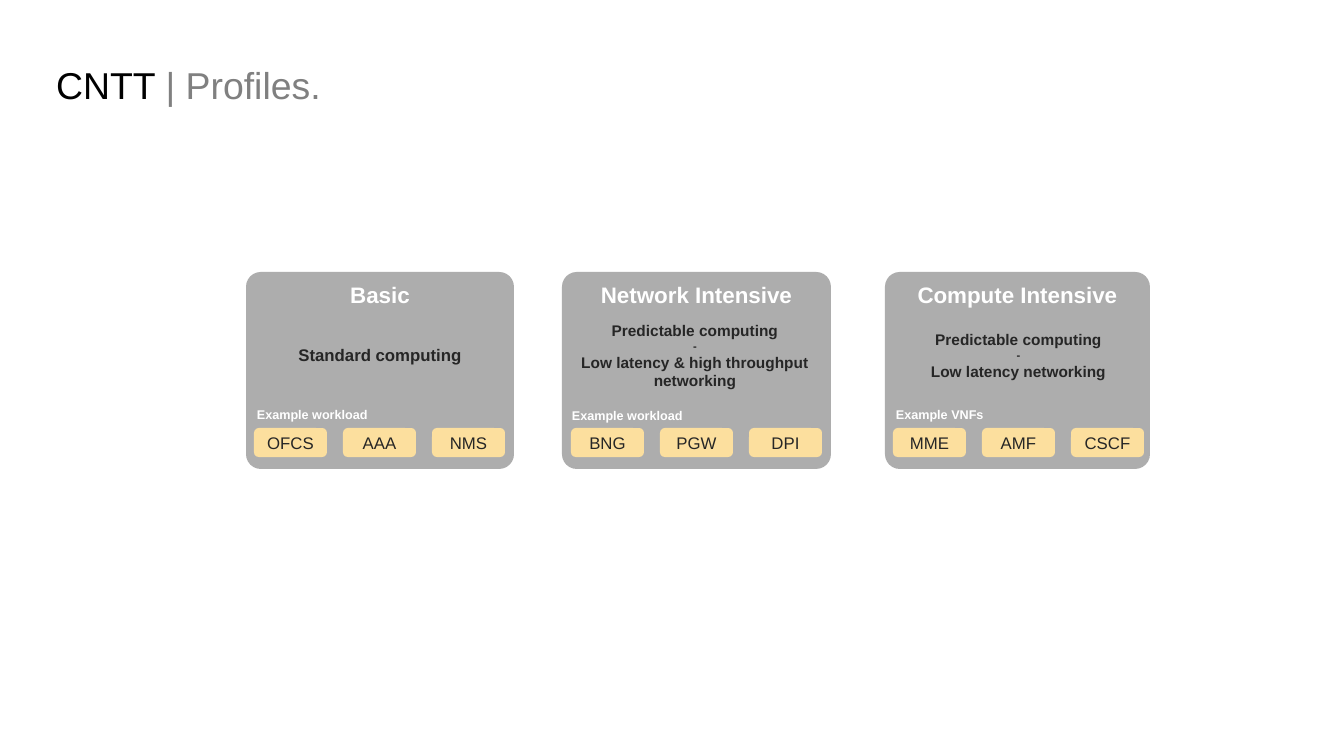
from lxml import etree
from pptx import Presentation
from pptx.dml.color import RGBColor
from pptx.enum.shapes import MSO_SHAPE
from pptx.enum.text import MSO_ANCHOR, PP_ALIGN
from pptx.oxml.ns import qn
from pptx.util import Pt

SCALE = 914400 / 100.8
ROUND = MSO_SHAPE.ROUNDED_RECTANGLE
TOP, MIDDLE = MSO_ANCHOR.TOP, MSO_ANCHOR.MIDDLE
LEFT, CENTER = PP_ALIGN.LEFT, PP_ALIGN.CENTER
COLORS = {"card": "5C5C5C", "chip": "FCDF9E", "white": "FFFFFF",
          "dark": "262626", "black": "000000", "gray": "808080"}
CARD_TOP, CARD_HIGH = 272, 197
CHIP_TOP, CHIP_WIDE, CHIP_HIGH, CHIP_STEP = 428, 73, 29, 89

PREDICT = ("Predictable computing", 11)
DASH = ("-", 8)
PROFILES = [
    {"name": "Basic", "left": 246, "wide": 268, "inset": 8,
     "body": [("Standard computing", 12)], "area": (246, 340, 268, 30),
     "label": "Example workload", "label_at": (247, 402, 132, 25),
     "chips": ["OFCS", "AAA", "NMS"]},
    {"name": "Network Intensive", "left": 562, "wide": 269, "inset": 9,
     "body": [PREDICT, DASH, ("Low latency & high throughput networking", 11)],
     "area": (554, 316, 282, 80),
     "label": "Example workload", "label_at": (562, 403, 132, 25),
     "chips": ["BNG", "PGW", "DPI"]},
    {"name": "Compute Intensive", "left": 885, "wide": 265, "inset": 8,
     "body": [PREDICT, DASH, ("Low latency networking", 11)],
     "area": (886, 325, 265, 61),
     "label": "Example VNFs", "label_at": (886, 402, 113, 25),
     "chips": ["MME", "AMF", "CSCF"]},
]


def px(count):
    """Turn pixels into EMU."""
    return round(count * SCALE)


def style(font, size, color, bold=False):
    """Set the face, size, colour and weight of a font."""
    font.name, font.size, font.bold = "Arial", Pt(size), bold
    font.color.rgb = RGBColor.from_string(COLORS[color])


def write(shape, lines, color, bold, align, anchor=TOP):
    """Write lines of text, each with its own size, into a shape."""
    frame = shape.text_frame
    frame.word_wrap, frame.vertical_anchor = True, anchor
    frame.text = "\n".join(text for text, size in lines)
    for para, (text, size) in zip(frame.paragraphs, lines):
        para.alignment = align
        style(para.font, size, color, bold)


def add_panel(slide, area, fill):
    """Add a rounded panel with a plain fill and no line."""
    panel = slide.shapes.add_shape(ROUND, *map(px, area))
    panel.shadow.inherit = False
    panel.fill.solid()
    panel.fill.fore_color.rgb = RGBColor.from_string(COLORS[fill])
    panel.line.fill.background()
    return panel


def add_card(slide, area, name):
    """Add a half clear card with its name at the top."""
    card = add_panel(slide, area, "card")
    card.adjustments[0] = 0.075
    tint = card.fill._xPr.find(qn("a:solidFill"))[0]
    etree.SubElement(tint, qn("a:alpha"), val="50000")
    write(card, [(name, 16)], "white", True, CENTER)


def add_chip(slide, area, name):
    """Add a small workload chip."""
    chip = add_panel(slide, area, "chip")
    write(chip, [(name, 12)], "dark", False, CENTER, MIDDLE)


def add_text(slide, area, lines, color, align):
    """Add a bold text box."""
    box = slide.shapes.add_textbox(*map(px, area))
    write(box, lines, color, True, align)
    return box


def add_title(slide):
    """Add the two-tone slide title."""
    frame = slide.shapes.add_textbox(*map(px, (48, 53, 1099, 65))).text_frame
    frame.word_wrap = True
    frame.margin_left, frame.margin_top = px(8), px(9)
    para = frame.paragraphs[0]
    for text, color in (("CNTT ", "black"), ("| Profiles.", "gray")):
        run = para.add_run()
        run.text = text
        style(run.font, 26.7, color)


def add_profile(slide, data):
    """Add one profile card with its body, label and chips."""
    left = data["left"]
    add_card(slide, (left, CARD_TOP, data["wide"], CARD_HIGH), data["name"])
    add_text(slide, data["area"], data["body"], "dark", CENTER)
    label = add_text(slide, data["label_at"], [(data["label"], 9)], "white", LEFT)
    label.text_frame.margin_right = 0
    for index, name in enumerate(data["chips"]):
        start = left + data["inset"] + index * CHIP_STEP
        add_chip(slide, (start, CHIP_TOP, CHIP_WIDE, CHIP_HIGH), name)


def main():
    """Build and save the slide."""
    deck = Presentation()
    deck.slide_width, deck.slide_height = px(1344), px(756)
    slide = deck.slides.add_slide(deck.slide_layouts[6])
    add_title(slide)
    for data in PROFILES:
        add_profile(slide, data)
    deck.save("out.pptx")


if __name__ == "__main__":
    main()
